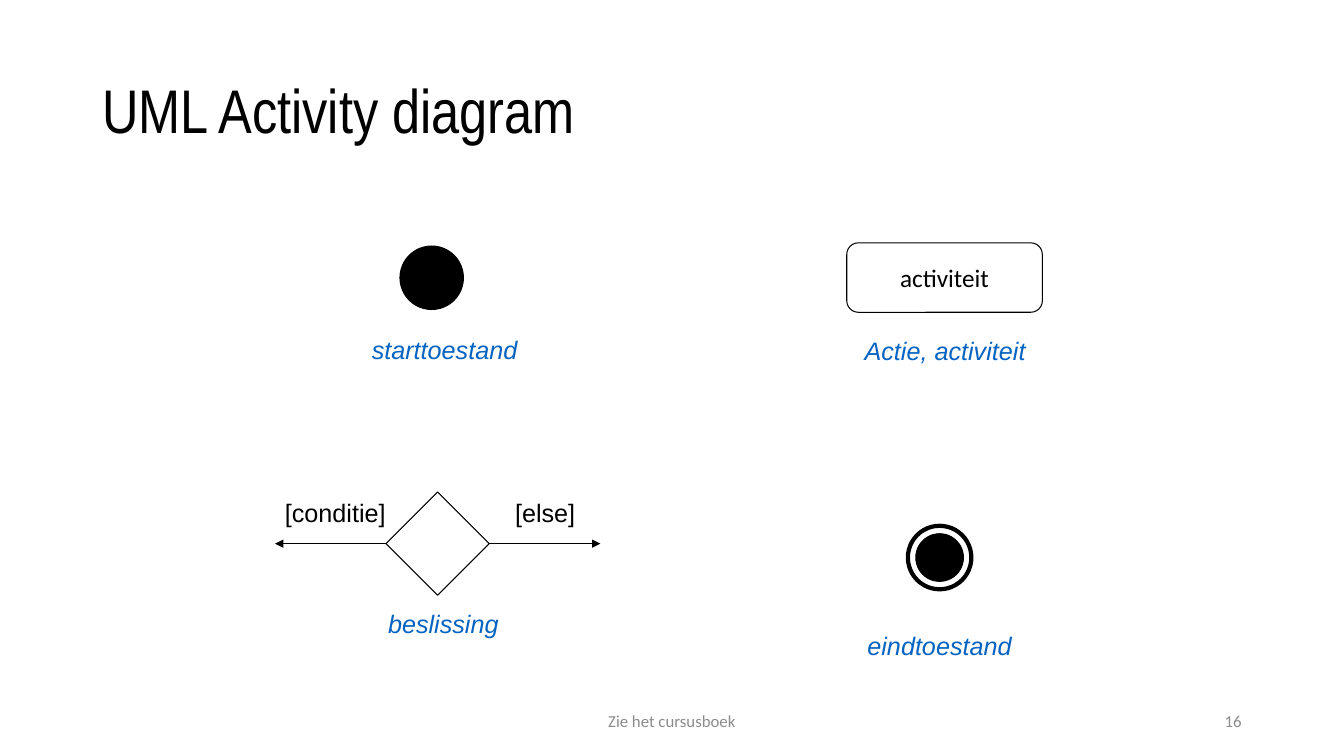
from dataclasses import dataclass

from lxml import etree
from pptx import Presentation
from pptx.dml.color import RGBColor
from pptx.enum.shapes import MSO_CONNECTOR, MSO_SHAPE
from pptx.enum.text import MSO_ANCHOR, MSO_AUTO_SIZE, PP_ALIGN
from pptx.oxml.ns import qn
from pptx.shapes.autoshape import Shape
from pptx.shapes.connector import Connector
from pptx.slide import Slide
from pptx.text.text import TextFrame
from pptx.util import Cm, Pt

LEFT, CENTER, RIGHT = PP_ALIGN.LEFT, PP_ALIGN.CENTER, PP_ALIGN.RIGHT
TOP, MIDDLE = MSO_ANCHOR.TOP, MSO_ANCHOR.MIDDLE
OVAL, DIAMOND = MSO_SHAPE.OVAL, MSO_SHAPE.DIAMOND
ROUNDED = MSO_SHAPE.ROUNDED_RECTANGLE
STRAIGHT = MSO_CONNECTOR.STRAIGHT
FIT_TEXT, NO_FIT = MSO_AUTO_SIZE.SHAPE_TO_FIT_TEXT, MSO_AUTO_SIZE.NONE

BLACK, WHITE, BLUE, GREY = "000000", "FFFFFF", "0563C1", "8C8C8C"
SITE_LEFT, SITE_RIGHT = 1, 3
LINE_H = 1.02
ARROW_LENGTH = 2.8


@dataclass
class Style:
    font: str
    size: float
    color: str
    italic: bool = False
    align: PP_ALIGN = LEFT
    anchor: MSO_ANCHOR = TOP
    wrap: bool = False
    line_spacing: float = 1.0


@dataclass
class Label:
    text: str
    x: float
    y: float
    w: float
    style: Style
    h: float = LINE_H


@dataclass
class Node:
    kind: MSO_SHAPE
    x: float
    y: float
    w: float
    h: float
    fill: str = WHITE
    line_width: float = 0.75


TITLE = Style("Arial Narrow", 44, BLACK, anchor=MIDDLE, wrap=True, line_spacing=0.9)
FOOTER = Style("Calibri", 12, GREY, align=CENTER, anchor=MIDDLE, wrap=True)
NUMBER = Style("Calibri", 12, GREY, align=RIGHT, anchor=MIDDLE, wrap=True)
CAPTION = Style("Arial", 18, BLUE, italic=True)
GUARD = Style("Arial", 18, BLACK)
ACTIVITY = Style("Calibri", 18, BLACK, align=CENTER, anchor=MIDDLE)

LABELS = [
    Label("UML Activity diagram", 2.33, 1.01, 29.21, TITLE, 3.68),
    Label("Zie het cursusboek", 11.22, 17.65, 11.43, FOOTER),
    Label("16", 23.92, 17.65, 7.62, NUMBER),
    Label("starttoestand", 9.12, 8.31, 4.19, CAPTION),
    Label("Actie, activiteit", 21.54, 8.33, 4.57, CAPTION),
    Label("beslissing", 9.53, 15.2, 3.3, CAPTION),
    Label("eindtoestand", 21.61, 15.77, 4.14, CAPTION),
    Label("[conditie]", 6.93, 12.4, 3.05, GUARD),
    Label("[else]", 12.73, 12.4, 2.03, GUARD),
]
START = Node(OVAL, 10.08, 6.2, 1.6, 1.6, BLACK)
END_RING = Node(OVAL, 22.88, 13.25, 1.6, 1.6, line_width=3)
END_DOT = Node(OVAL, 23.08, 13.45, 1.2, 1.2, BLACK)
ACTION = Node(ROUNDED, 21.34, 6.12, 4.93, 1.75)
DECISION = Node(DIAMOND, 9.73, 12.4, 2.6, 2.6)


def rgb(color: str) -> RGBColor:
    return RGBColor.from_string(color)


def write_text(tf: TextFrame, text: str, style: Style) -> None:
    tf.word_wrap = style.wrap
    tf.vertical_anchor = style.anchor
    p = tf.paragraphs[0]
    p.alignment = style.align
    p.line_spacing = style.line_spacing
    r = p.add_run()
    r.text = text
    r.font.name = style.font
    r.font.size = Pt(style.size)
    r.font.italic = style.italic
    r.font.color.rgb = rgb(style.color)


def add_label(s: Slide, label: Label) -> None:
    sp = s.shapes.add_textbox(Cm(label.x), Cm(label.y), Cm(label.w), Cm(label.h))
    write_text(sp.text_frame, label.text, label.style)
    sp.text_frame.auto_size = NO_FIT if label.style.wrap else FIT_TEXT


def add_node(s: Slide, node: Node) -> Shape:
    sp = s.shapes.add_shape(node.kind, Cm(node.x), Cm(node.y), Cm(node.w), Cm(node.h))
    sp.shadow.inherit = False
    sp.fill.solid()
    sp.fill.fore_color.rgb = rgb(node.fill)
    sp.line.color.rgb = rgb(BLACK)
    sp.line.width = Pt(node.line_width)
    return sp


def add_arrow(s: Slide, source: Shape, site: int, x: float, end_x: float, y: float) -> Connector:
    cn = s.shapes.add_connector(STRAIGHT, Cm(x), Cm(y), Cm(end_x), Cm(y))
    cn.begin_connect(source, site)
    cn.line.color.rgb = rgb(BLACK)
    cn.line.width = Pt(0.75)
    etree.SubElement(cn.line._get_or_add_ln(), qn("a:tailEnd"), type="triangle")
    etree.SubElement(cn._element.spPr, qn("a:effectLst"))
    return cn


def main() -> None:
    prs = Presentation()
    prs.slide_width, prs.slide_height = Cm(33.87), Cm(19.05)
    s = prs.slides.add_slide(prs.slide_layouts[6])

    for node in (START, END_RING, END_DOT):
        add_node(s, node)
    action = add_node(s, ACTION)
    action.adjustments[0] = 0.167
    write_text(action.text_frame, "activiteit", ACTIVITY)

    decision = add_node(s, DECISION)
    left, right = DECISION.x, DECISION.x + DECISION.w
    middle = DECISION.y + DECISION.h / 2
    add_arrow(s, decision, SITE_LEFT, left, left - ARROW_LENGTH, middle)
    add_arrow(s, decision, SITE_RIGHT, right, right + ARROW_LENGTH, middle)

    for label in LABELS:
        add_label(s, label)
    prs.save("out.pptx")


if __name__ == "__main__":
    main()
